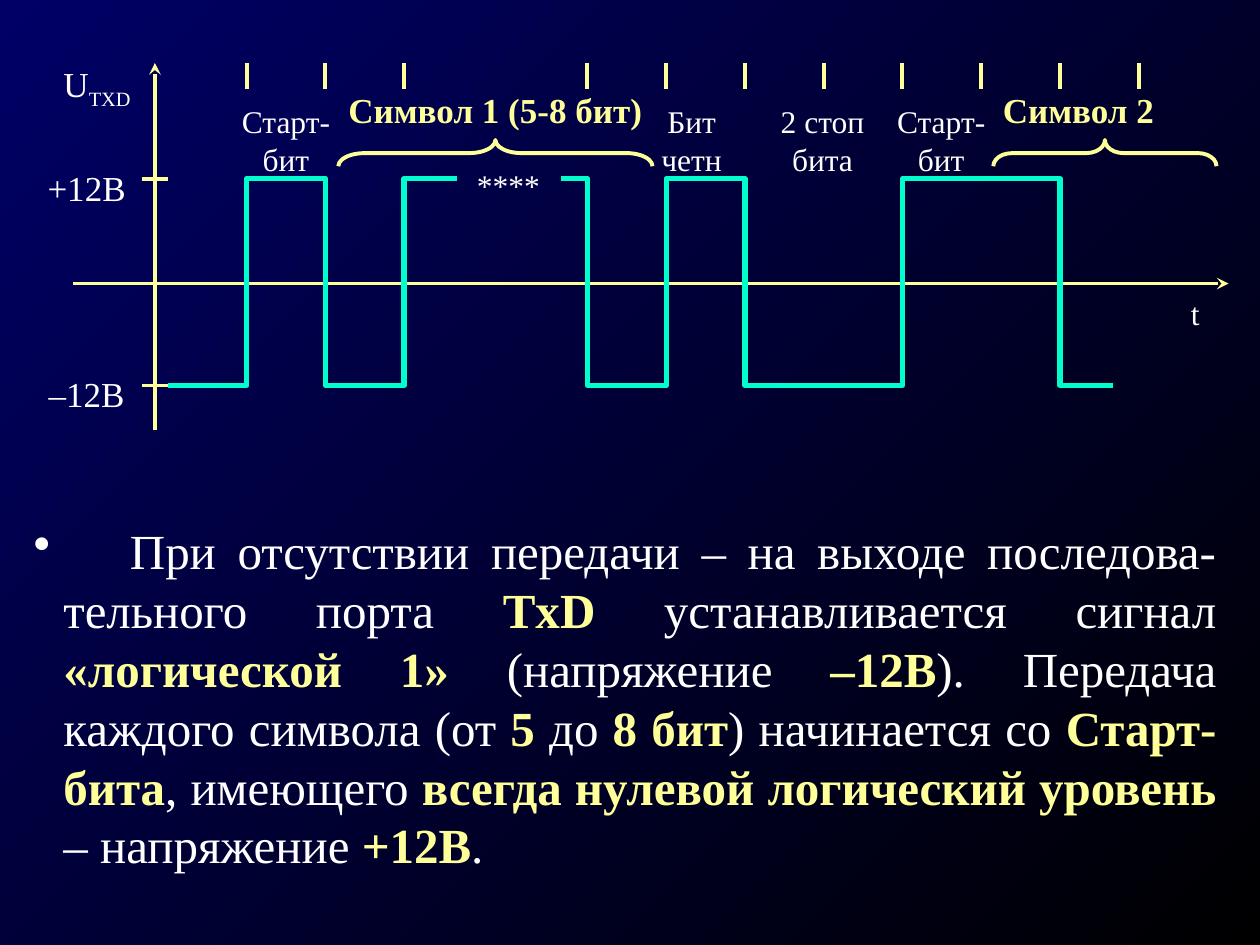
from lxml.etree import SubElement
from pptx import Presentation
from pptx.dml.color import RGBColor
from pptx.enum.shapes import MSO_CONNECTOR, MSO_SHAPE
from pptx.enum.text import PP_ALIGN
from pptx.oxml.ns import qn
from pptx.util import Pt

FONT = "Times New Roman"
WHITE, YELLOW, CYAN = "FFFFFF", "FFFF99", "00FFCC"
BIT = 45


def rgb(code):
    return RGBColor.from_string(code)


def pen(line, code, width):
    line.color.rgb = rgb(code)
    line.width = Pt(width)


def style(font, size, code, bold=False):
    font.name, font.size, font.bold = FONT, Pt(size), bold
    font.color.rgb = rgb(code)


def label(shapes, box, text, size=18, code=WHITE, bold=False):
    """Add centred text without margins, one paragraph per line."""
    frame = shapes.add_textbox(*map(Pt, box)).text_frame
    frame.word_wrap = True
    frame.margin_left = frame.margin_right = 0
    frame.margin_top = frame.margin_bottom = 0
    frame.text = text
    for par in frame.paragraphs:
        par.alignment = PP_ALIGN.CENTER
        for run in par.runs:
            style(run.font, size, code, bold)
    return frame


def rule(shapes, start, end, arrow=False):
    line = shapes.add_connector(MSO_CONNECTOR.STRAIGHT, *map(Pt, start + end))
    pen(line.line, YELLOW, 2.25)
    if arrow:
        SubElement(line.line._get_or_add_ln(), qn("a:tailEnd"), type="stealth")
    SubElement(line._element.spPr, qn("a:effectLst"))


def wave(shapes, points):
    path = [(Pt(x), Pt(y)) for x, y in points]
    build = shapes.build_freeform(*path[0], scale=1)
    build.add_line_segments(path[1:], close=False)
    shape = build.convert_to_shape()
    shape.fill.background()
    shape.shadow.inherit = False
    pen(shape.line, CYAN, 3)


def brace(shapes, box):
    """Add a brace that points up and fills the box."""
    left, top, width, height = box
    shape = shapes.add_shape(
        MSO_SHAPE.LEFT_BRACE,
        Pt(left + (width - height) / 2), Pt(top + (height - width) / 2),
        Pt(height), Pt(width))
    shape.rotation = 90
    shape.adjustments[0] = width / 12 / height
    shape.fill.background()
    shape.shadow.inherit = False
    pen(shape.line, YELLOW, 2.25)


def chart(shapes, box):
    """Draw the timing diagram: axes, levels, bits and signal."""
    left, top, width, height = box
    axis, zero = left + 46.5, top + 126
    high, low = top + 66.2, top + 184.3
    edge, last = left + 98.9, left + 293.7

    rule(shapes, (left, zero), (left + width, zero), True)
    rule(shapes, (axis, top + height), (axis, top), True)
    for y, text in ((high, "+12В"), (low, "–12В")):
        rule(shapes, (axis - 7.5, y), (axis + 7.5, y))
        label(shapes, (left - 24, y - 7.2, 63, 25), text, 20)

    for x in [edge + BIT * i for i in range(3)] + [last + BIT * i for i in range(8)]:
        rule(shapes, (x, top), (x, top + 15))

    wave(shapes, [
        (axis + 7.5, low), (edge, low), (edge, high),
        (edge + BIT, high), (edge + BIT, low),
        (edge + 2 * BIT, low), (edge + 2 * BIT, high), (edge + 120, high)])
    signal = [(last - 15, high)]
    level, other = high, low
    for step in (0, 1, 2, 3, 5 + 1, 8)[:0] or (0, 1, 2, 4, 6):
        x = last + BIT * step
        signal += [(x, level), (x, other)]
        level, other = other, level
    wave(shapes, signal + [(last + 6 * BIT + 30, level)])

    for x, wide, text in ((91.4, 60, "Старт-бит"), (323.2, 60, "Бит\nчетн"),
                          (383, 90, "2 стоп\nбита"), (465.8, 60, "Старт-бит")):
        label(shapes, (left + x, top + 22.3, wide, 37), text)
    for x, span, wide, text in ((151.3, 179.5, 179.5, "Символ 1 (5-8 бит)"),
                                (525.6, 127.5, 97.2, "Символ 2")):
        label(shapes, (left + x, top + 14.4, wide, 22), text, 20, YELLOW, True)
        brace(shapes, (left + x, top + 44, span, 15))
    label(shapes, (left + 226, top + 59, 45, 22), "****")
    label(shapes, (left + width - 30, zero + 6, 22, 22), "t")

    par = label(shapes, (left - 12, top, 51, 30), "U", 20).paragraphs[0]
    sub = par.add_run()
    sub.text = "TXD"
    style(sub.font, 20, WHITE)
    sub.font._element.set("baseline", "-25000")


def note(shapes, box, parts):
    """Write one justified bullet, every second part highlighted."""
    frame = shapes.add_textbox(*map(Pt, box)).text_frame
    frame.word_wrap = True
    par = frame.paragraphs[0]
    par.alignment = PP_ALIGN.JUSTIFY
    props = par._p.get_or_add_pPr()
    props.set("marL", str(Pt(17)))
    props.set("indent", str(-Pt(17)))
    SubElement(SubElement(props, qn("a:buClr")), qn("a:srgbClr"), val=WHITE)
    SubElement(props, qn("a:buChar"), char="•")
    tabs = SubElement(props, qn("a:tabLst"))
    SubElement(tabs, qn("a:tab"), pos=str(Pt(55)), algn="l")
    for i, text in enumerate(parts):
        run = par.add_run()
        run.text = text
        style(run.font, 28, YELLOW if i % 2 else WHITE, bool(i % 2))


def main():
    deck = Presentation()
    deck.slide_width, deck.slide_height = Pt(720), Pt(540)
    slide = deck.slides.add_slide(deck.slide_layouts[6])
    fill = slide.background.fill
    fill.gradient()
    fill.gradient_angle = 315
    for stop, code in zip(fill.gradient_stops, ("000066", "000000")):
        stop.color.rgb = rgb(code)

    chart(slide.shapes, (42, 36, 660, 210))
    note(slide.shapes, (12.2, 294, 690, 209), (
        "\tПри отсутствии передачи – на выходе последова-тельного порта ",
        "TxD", " устанавливается сигнал ", "«логической 1»",
        " (напряжение ", "–12В", "). Передача каждого символа (от ", "5",
        " до ", "8 бит", ") начинается со ", "Старт-бита", ", имеющего ",
        "всегда нулевой логический уровень", " – напряжение ", "+12В", "."))
    deck.save("out.pptx")


if __name__ == "__main__":
    main()
